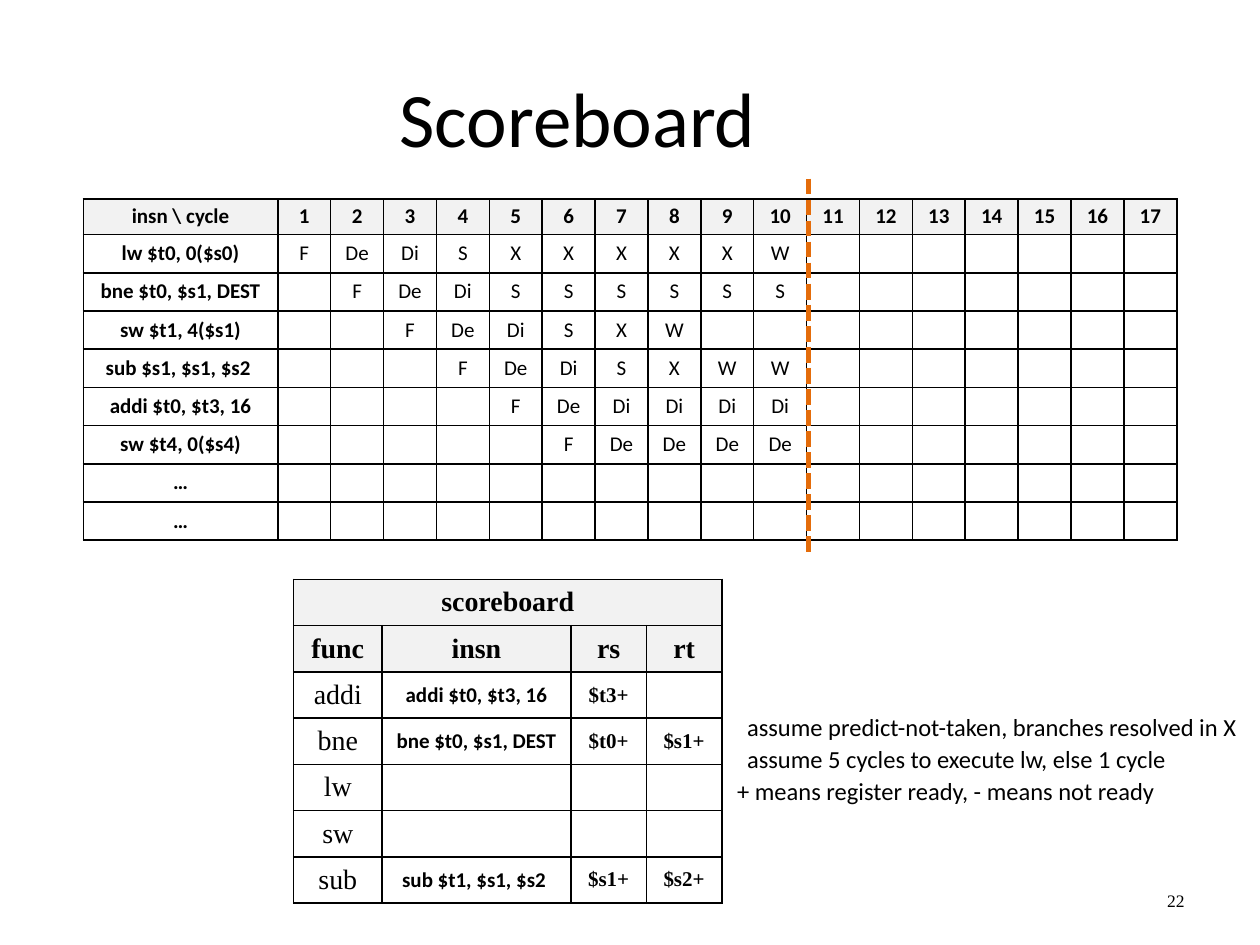
from lxml.etree import SubElement
from pptx import Presentation
from pptx.dml.color import RGBColor
from pptx.enum.dml import MSO_LINE
from pptx.enum.shapes import MSO_CONNECTOR
from pptx.enum.text import MSO_ANCHOR, PP_ALIGN
from pptx.oxml.ns import qn
from pptx.util import Cm, Pt

SANS, SERIF = "Calibri", "Times New Roman"
BLACK, WHITE, GREY, ORANGE = "000000", "FFFFFF", "F2F2F2", "E46C0A"

CYCLES = 17
# Instruction, cycle of its fetch, stages from there on
PIPELINE = [
    ("lw $t0, 0($s0)", 1, "F De Di S X X X X X W"),
    ("bne $t0, $s1, DEST", 2, "F De Di S S S S S S"),
    ("sw $t1, 4($s1)", 3, "F De Di S X W"),
    ("sub $s1, $s1, $s2 ", 4, "F De Di S X W W"),
    ("addi $t0, $t3, 16", 5, "F De Di Di Di Di"),
    ("sw $t4, 0($s4)", 6, "F De De De De"),
    ("…", 1, ""),
    ("…", 1, ""),
]
SCOREBOARD = [
    ("func", "insn", "rs", "rt"),
    ("addi", "addi $t0, $t3, 16", "$t3+", ""),
    ("bne", "bne $t0, $s1, DEST", "$t0+", "$s1+"),
    ("lw", "", "", ""),
    ("sw", "", "", ""),
    ("sub", "sub $t1, $s1, $s2 ", "$s1+", "$s2+"),
]
NOTES = [
    (0.2, 10.6, "assume predict-not-taken, branches resolved in X"),
    (0.2, 9.73, "assume 5 cycles to execute lw, else 1 cycle"),
    (0, 9.73, "+ means register ready, - means not ready"),
]


def color(hex_value):
    return RGBColor.from_string(hex_value)


def write(text_frame, text, size, font_name, bold=False, align=PP_ALIGN.LEFT):
    text_frame.text = text
    paragraph = text_frame.paragraphs[0]
    paragraph.alignment = align
    for run in paragraph.runs:
        run.font.size = Pt(size)
        run.font.name = font_name
        run.font.bold = bold
        run.font.color.rgb = color(BLACK)
    if not text:
        # An empty cell keeps its row low only with a small end mark
        SubElement(paragraph._p, qn("a:endParaRPr"), sz=str(size * 100))
    return paragraph


def add_text(slide, left, top, width, height, text, size, font_name, align=PP_ALIGN.LEFT):
    text_frame = slide.shapes.add_textbox(Cm(left), Cm(top), Cm(width), Cm(height)).text_frame
    text_frame.word_wrap = True
    text_frame.vertical_anchor = MSO_ANCHOR.MIDDLE
    write(text_frame, text, size, font_name, align=align)


def fill_cell(cell, text, size, font_name, bold, fill):
    cell.fill.solid()
    cell.fill.fore_color.rgb = color(fill)
    cell.vertical_anchor = MSO_ANCHOR.MIDDLE
    properties = cell._tc.get_or_add_tcPr()
    for position, side in enumerate(("a:lnL", "a:lnR", "a:lnT", "a:lnB")):
        line = properties.makeelement(qn(side), {"w": str(Pt(1))})
        SubElement(SubElement(line, qn("a:solidFill")), qn("a:srgbClr"), val=BLACK)
        properties.insert(position, line)
    return write(cell.text_frame, text, size, font_name, bold, PP_ALIGN.CENTER)


def add_grid(slide, left, top, column_widths, row_heights):
    table = slide.shapes.add_table(
        len(row_heights), len(column_widths), Cm(left), Cm(top),
        Cm(sum(column_widths)), Cm(sum(row_heights))).table
    for column, width in zip(table.columns, column_widths):
        column.width = Cm(width)
    for row, height in zip(table.rows, row_heights):
        row.height = Cm(height)
    return table


def add_pipeline(slide, left, top, width):
    name_width = 3.92
    cycle_width = (width - name_width) / CYCLES
    table = add_grid(slide, left, top, [name_width] + [cycle_width] * CYCLES,
                     [0.72] + [0.77] * len(PIPELINE))
    rows = [["insn \\ cycle"] + [str(cycle + 1) for cycle in range(CYCLES)]]
    for name, start, stages in PIPELINE:
        cells = [name] + [""] * (start - 1) + stages.split()
        rows.append(cells + [""] * (CYCLES + 1 - len(cells)))
    for row_index, row in enumerate(rows):
        for column_index, text in enumerate(row):
            is_heading = row_index == 0 or column_index == 0
            paragraph = fill_cell(table.cell(row_index, column_index), text, 12, SANS,
                                  is_heading, WHITE if row_index else GREY)
            paragraph.line_spacing = 0.9


def add_scoreboard(slide, left, top):
    rows = [("scoreboard", "", "", "")] + SCOREBOARD
    table = add_grid(slide, left, top, [1.78, 3.81, 1.52, 1.52], [0.88] * len(rows))
    table.cell(0, 0).merge(table.cell(0, 3))
    for row_index, row in enumerate(rows):
        is_heading = row_index < 2
        for column_index, text in enumerate(row):
            is_function = column_index == 0
            fill_cell(table.cell(row_index, column_index), text,
                      16 if is_heading or is_function else 12,
                      SANS if column_index == 1 and not is_heading else SERIF,
                      is_heading or not is_function,
                      GREY if is_heading else WHITE)


def add_cycle_marker(slide, x, top, bottom):
    marker = slide.shapes.add_connector(MSO_CONNECTOR.STRAIGHT, Cm(x), Cm(top), Cm(x), Cm(bottom))
    marker.line.color.rgb = color(ORANGE)
    marker.line.width = Pt(3)
    marker.line.dash_style = MSO_LINE.SQUARE_DOT
    SubElement(marker._element.spPr, qn("a:effectLst"))


def add_notes(slide, left, top):
    for index, (indent, width, text) in enumerate(NOTES):
        add_text(slide, left + indent, top + index * 0.64, width, 1.27, text, 14, SANS)


def main():
    presentation = Presentation()
    presentation.slide_width, presentation.slide_height = Cm(25.4), Cm(19.05)
    slide = presentation.slides.add_slide(presentation.slide_layouts[6])
    add_text(slide, 1.27, 0.76, 20.75, 3.18, "Scoreboard", 44, SANS, PP_ALIGN.CENTER)
    add_pipeline(slide, 1.68, 4.01, 22.05)
    add_scoreboard(slide, 5.92, 11.68)
    add_cycle_marker(slide, 16.3, 3.6, 11.23)
    add_notes(slide, 14.61, 14.02)
    add_text(slide, 21.16, 17.65, 2.97, 1.02, "22", 10, SERIF, PP_ALIGN.RIGHT)
    presentation.save("out.pptx")


if __name__ == "__main__":
    main()
